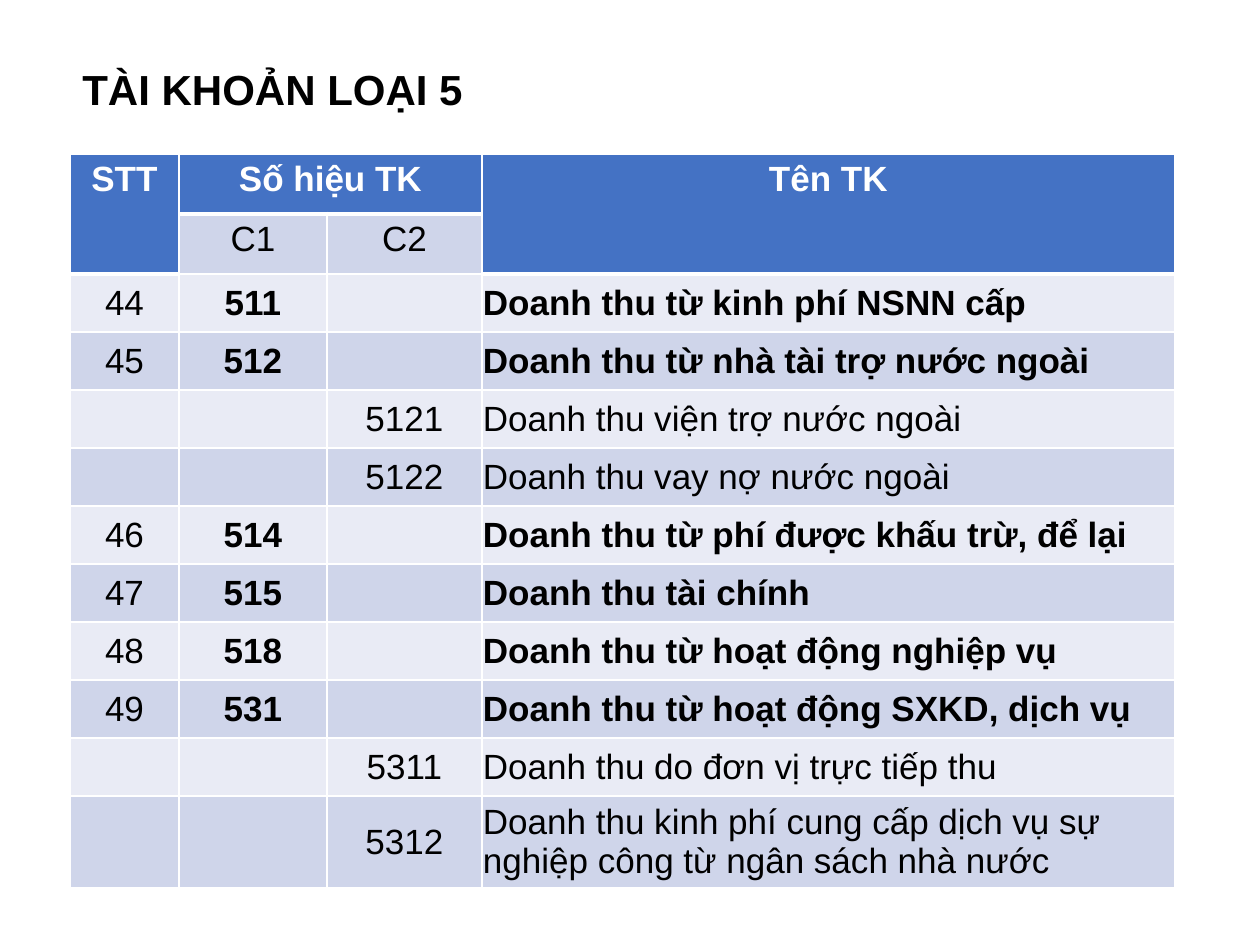
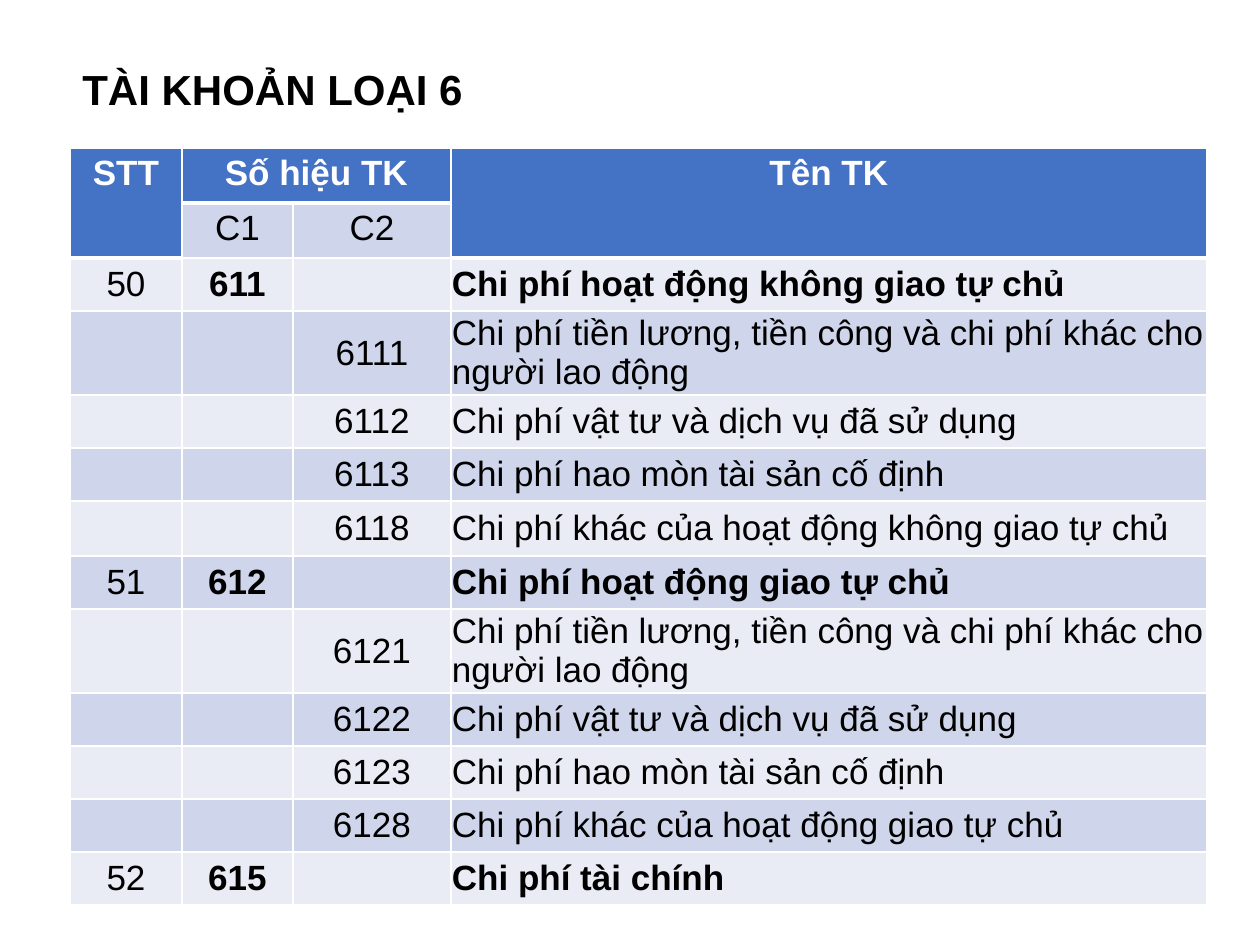
from pptx import Presentation
from pptx.dml.color import RGBColor
from pptx.enum.text import MSO_ANCHOR as Anchor, MSO_AUTO_SIZE as AutoSize, PP_ALIGN as Align
from pptx.oxml import parse_xml
from pptx.oxml.ns import nsdecls
from pptx.util import Pt

EMU_PER_PX = 914400 / 126

BLACK = RGBColor(0x00, 0x00, 0x00)
WHITE = RGBColor(0xFF, 0xFF, 0xFF)
HEADER_BLUE = RGBColor(0x44, 0x72, 0xC4)
BANDS = (RGBColor(0xE9, 0xEB, 0xF5), RGBColor(0xCF, 0xD5, 0xEA))

FONT = "Arial"
TITLE_BOX = (70, 57, 406, 63)
THIN, THICK = 1, 3
NUMBER, LEVEL_1, LEVEL_2, NAME = range(4)

HEADER_ROWS = [("STT", "Số hiệu TK", "", "Tên TK"), ("", "C1", "C2", "")]
REVENUE_ACCOUNTS = [
    ("44", "511", "", "Doanh thu từ kinh phí NSNN cấp"),
    ("45", "512", "", "Doanh thu từ nhà tài trợ nước ngoài"),
    ("", "", "5121", "Doanh thu viện trợ nước ngoài"),
    ("", "", "5122", "Doanh thu vay nợ nước ngoài"),
    ("46", "514", "", "Doanh thu từ phí được khấu trừ, để lại"),
    ("47", "515", "", "Doanh thu tài chính"),
    ("48", "518", "", "Doanh thu từ hoạt động nghiệp vụ"),
    ("49", "531", "", "Doanh thu từ hoạt động SXKD, dịch vụ"),
    ("", "", "5311", "Doanh thu do đơn vị trực tiếp thu"),
    ("", "", "5312", "Doanh thu kinh phí cung cấp dịch vụ sự nghiệp công từ ngân sách nhà nước"),
]
EXPENSE_ACCOUNTS = [
    ("50", "611", "", "Chi phí hoạt động không giao tự chủ"),
    ("", "", "6111", "Chi phí tiền lương, tiền công và chi phí khác cho người lao động"),
    ("", "", "6112", "Chi phí vật tư và dịch vụ đã sử dụng"),
    ("", "", "6113", "Chi phí hao mòn tài sản cố định"),
    ("", "", "6118", "Chi phí khác của hoạt động không giao tự chủ"),
    ("51", "612", "", "Chi phí hoạt động giao tự chủ"),
    ("", "", "6121", "Chi phí tiền lương, tiền công và chi phí khác cho người lao động"),
    ("", "", "6122", "Chi phí vật tư và dịch vụ đã sử dụng"),
    ("", "", "6123", "Chi phí hao mòn tài sản cố định"),
    ("", "", "6128", "Chi phí khác của hoạt động giao tự chủ"),
    ("52", "615", "", "Chi phí tài chính"),
]


def px(length):
    return round(length * EMU_PER_PX)


def write(text_frame, text, size=20, color=BLACK, bold=False, align=Align.LEFT):
    paragraph = text_frame.paragraphs[0]
    paragraph.alignment = align
    run = paragraph.add_run()
    run.text = text
    run.font.name = FONT
    run.font.size = Pt(size)
    run.font.bold = bold
    run.font.color.rgb = color


def add_title(slide, box, text):
    shape = slide.shapes.add_textbox(*map(px, box))
    shape.text_frame.word_wrap = False
    shape.text_frame.auto_size = AutoSize.SHAPE_TO_FIT_TEXT
    write(shape.text_frame, text, size=24, bold=True)


def set_borders(cell, top, bottom):
    """Draw white borders; call before the fill, which must follow them in the XML."""
    properties = cell._tc.get_or_add_tcPr()
    for side, width in (("L", THIN), ("R", THIN), ("T", top), ("B", bottom)):
        properties.append(parse_xml(
            f'<a:ln{side} {nsdecls("a")} w="{Pt(width)}"><a:solidFill>'
            f'<a:srgbClr val="{WHITE}"/></a:solidFill></a:ln{side}>'))


def format_cell(cell, row, column, values):
    header_depth = 1 if column in (LEVEL_1, LEVEL_2) else len(HEADER_ROWS)
    is_header = row < header_depth
    is_body = row >= len(HEADER_ROWS)
    set_borders(cell, top=THICK if row == header_depth else THIN,
                bottom=THICK if is_header else THIN)
    cell.fill.solid()
    cell.fill.fore_color.rgb = HEADER_BLUE if is_header else BANDS[row % 2]
    if is_body:
        cell.vertical_anchor = Anchor.MIDDLE
        cell.margin_left = cell.margin_right = px(1)
        cell.margin_top = cell.margin_bottom = 0
    if values[column]:
        is_main_account = is_body and values[LEVEL_1] and column in (LEVEL_1, NAME)
        write(cell.text_frame, values[column],
              color=WHITE if is_header else BLACK,
              bold=bool(is_header or is_main_account),
              align=Align.LEFT if is_body and column == NAME else Align.CENTER)


def add_account_table(slide, left, top, column_widths, row_heights, accounts):
    rows = HEADER_ROWS + accounts
    frame = slide.shapes.add_table(len(rows), len(column_widths), px(left), px(top),
                                   px(sum(column_widths)), px(sum(row_heights)))
    table = frame.table
    table.first_row = table.horz_banding = False
    for column, width in zip(table.columns, column_widths):
        column.width = px(width)
    for table_row, height in zip(table.rows, row_heights):
        table_row.height = px(height)
    for row, values in enumerate(rows):
        for column in range(len(values)):
            format_cell(table.cell(row, column), row, column, values)
    for column in (NUMBER, NAME):
        table.cell(0, column).merge(table.cell(1, column))
    table.cell(0, LEVEL_1).merge(table.cell(0, LEVEL_2))


def add_account_slide(presentation, title, **table_layout):
    slide = presentation.slides.add_slide(presentation.slide_layouts[6])
    add_title(slide, TITLE_BOX, title)
    add_account_table(slide, left=TITLE_BOX[0], **table_layout)


def main():
    presentation = Presentation()
    presentation.slide_width, presentation.slide_height = px(1260), px(945)
    add_account_slide(presentation, "TÀI KHOẢN LOẠI 5", top=154,
                      column_widths=(109, 148, 155, 693),
                      row_heights=[60] * 2 + [58] * 9 + [92],
                      accounts=REVENUE_ACCOUNTS)
    add_account_slide(presentation, "TÀI KHOẢN LOẠI 6", top=148,
                      column_widths=(112, 111, 158, 756),
                      row_heights=[55, 55, 53, 84, 53, 53, 55, 53, 84] + [53] * 4,
                      accounts=EXPENSE_ACCOUNTS)
    presentation.save("out.pptx")


if __name__ == "__main__":
    main()
